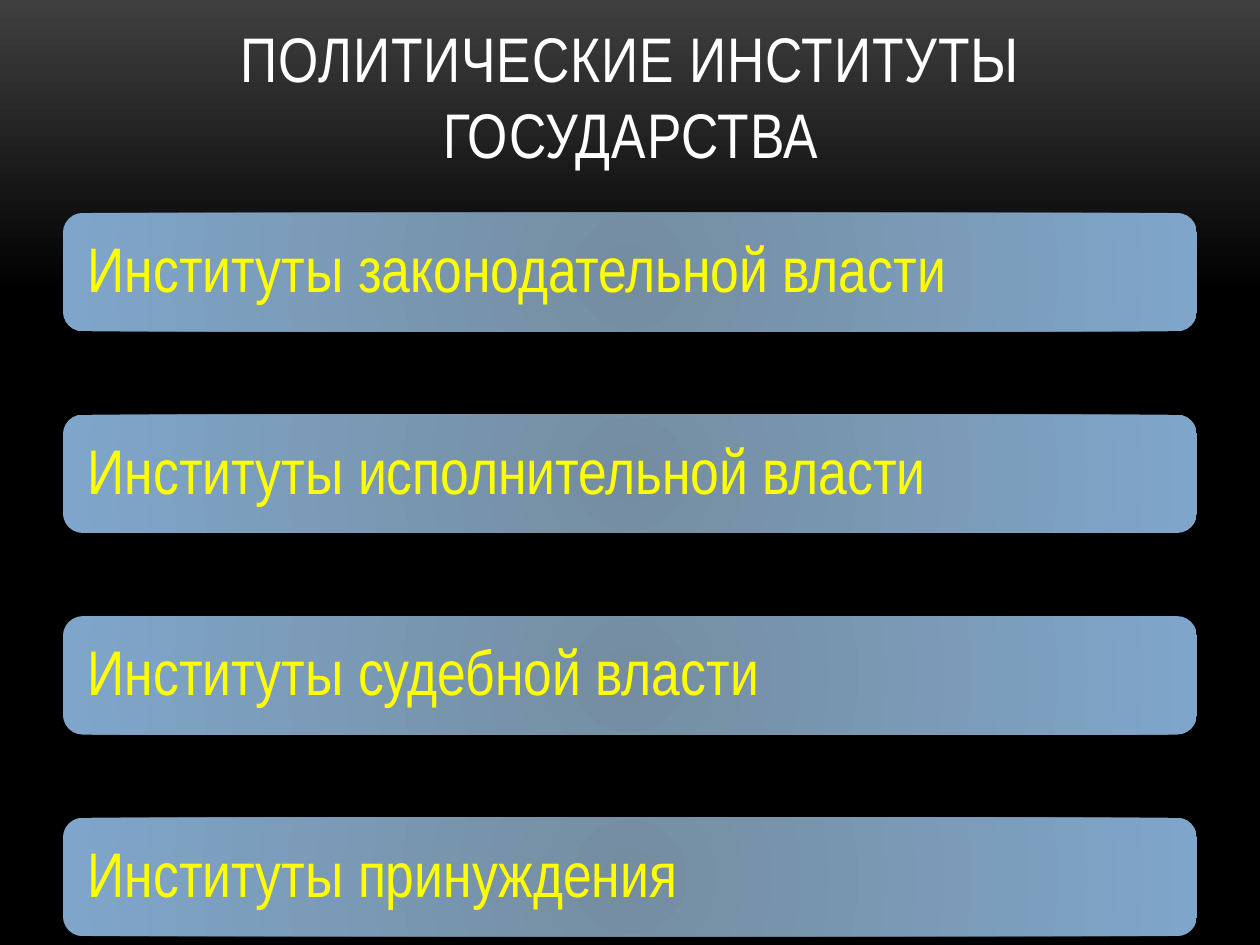
"""Build a slide listing the political institutions of the state."""
from pptx import Presentation
from pptx.dml.color import RGBColor
from pptx.enum.shapes import MSO_SHAPE
from pptx.enum.text import MSO_ANCHOR, PP_ALIGN
from pptx.oxml import parse_xml
from pptx.oxml.ns import nsdecls, qn
from pptx.util import Inches, Pt

GREY = RGBColor(0x3F, 0x3F, 0x3F)
BLACK = RGBColor(0x00, 0x00, 0x00)
WHITE = RGBColor(0xFF, 0xFF, 0xFF)
YELLOW = RGBColor(0xFF, 0xFF, 0x00)
SLATE = RGBColor(0x75, 0x8D, 0xA1)
SKY = RGBColor(0x7F, 0xA6, 0xCA)

INSTITUTIONS = [
    "Институты законодательной власти",
    "Институты исполнительной власти",
    "Институты судебной власти",
    "Институты принуждения",
]


def set_gradient(fill, start, end, end_position=1):
    fill.gradient()
    first, last = fill.gradient_stops
    first.color.rgb, first.position = start, 0
    last.color.rgb, last.position = end, end_position


def write_text(shape, text, color, alignment):
    frame = shape.text_frame
    frame.word_wrap = True
    frame.vertical_anchor = MSO_ANCHOR.MIDDLE
    paragraph = frame.paragraphs[0]
    paragraph.text = text
    paragraph.alignment = alignment
    paragraph.font.name = "Arial Narrow"
    paragraph.font.size = Pt(36)
    paragraph.font.color.rgb = color
    return paragraph


presentation = Presentation()
presentation.slide_width = Inches(10)
presentation.slide_height = Inches(7.5)
slide = presentation.slides.add_slide(presentation.slide_layouts[6])

background = slide.background.fill
set_gradient(background, GREY, BLACK, 0.31)
background.gradient_angle = 270

title = slide.shapes.add_textbox(Inches(0.67), Inches(0.13), Inches(8.67), Inches(1.25))
paragraph = write_text(title, "ПОЛИТИЧЕСКИЕ ИНСТИТУТЫ ГОСУДАРСТВА", WHITE, PP_ALIGN.CENTER)
paragraph.runs[0].font._element.set("spc", "50")

for index, institution in enumerate(INSTITUTIONS):
    bar = slide.shapes.add_shape(
        MSO_SHAPE.ROUNDED_RECTANGLE,
        Inches(0.5), Inches(1.69 + 1.6 * index), Inches(9), Inches(0.94),
    )
    bar.shadow.inherit = False
    bar.line.fill.background()
    set_gradient(bar.fill, SLATE, SKY)
    gradient = bar._element.spPr.find(qn("a:gradFill"))
    gradient.replace(gradient.find(qn("a:lin")), parse_xml(
        f'<a:path {nsdecls("a")} path="circle">'
        '<a:fillToRect l="100000" t="100000" r="100000" b="100000"/></a:path>'
    ))
    frame = bar.text_frame
    frame.margin_left = frame.margin_right = Inches(0.15)
    frame.margin_top = frame.margin_bottom = Inches(0.15)
    paragraph = write_text(bar, institution, YELLOW, PP_ALIGN.LEFT)
    paragraph.line_spacing = 0.9

presentation.save("out.pptx")
